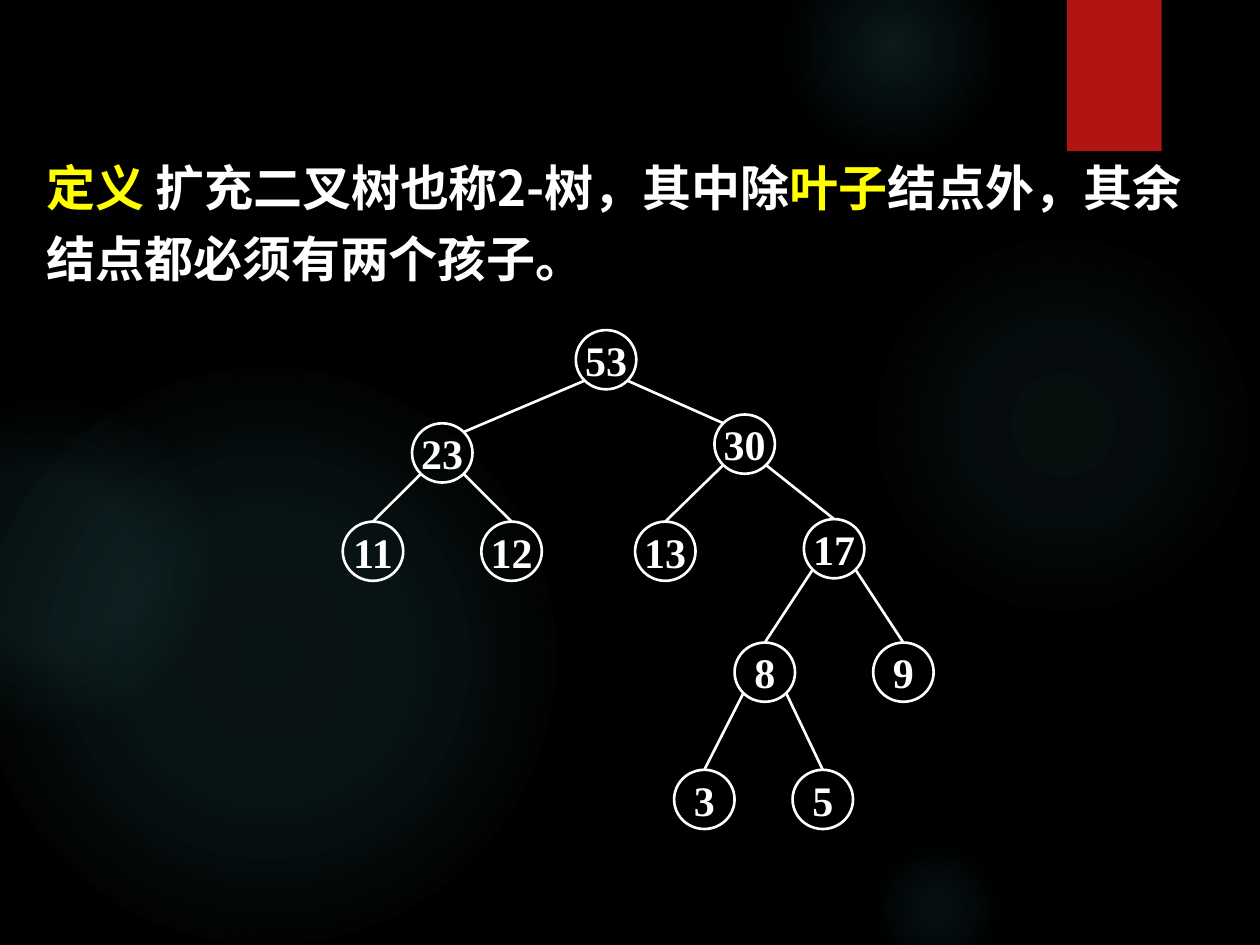
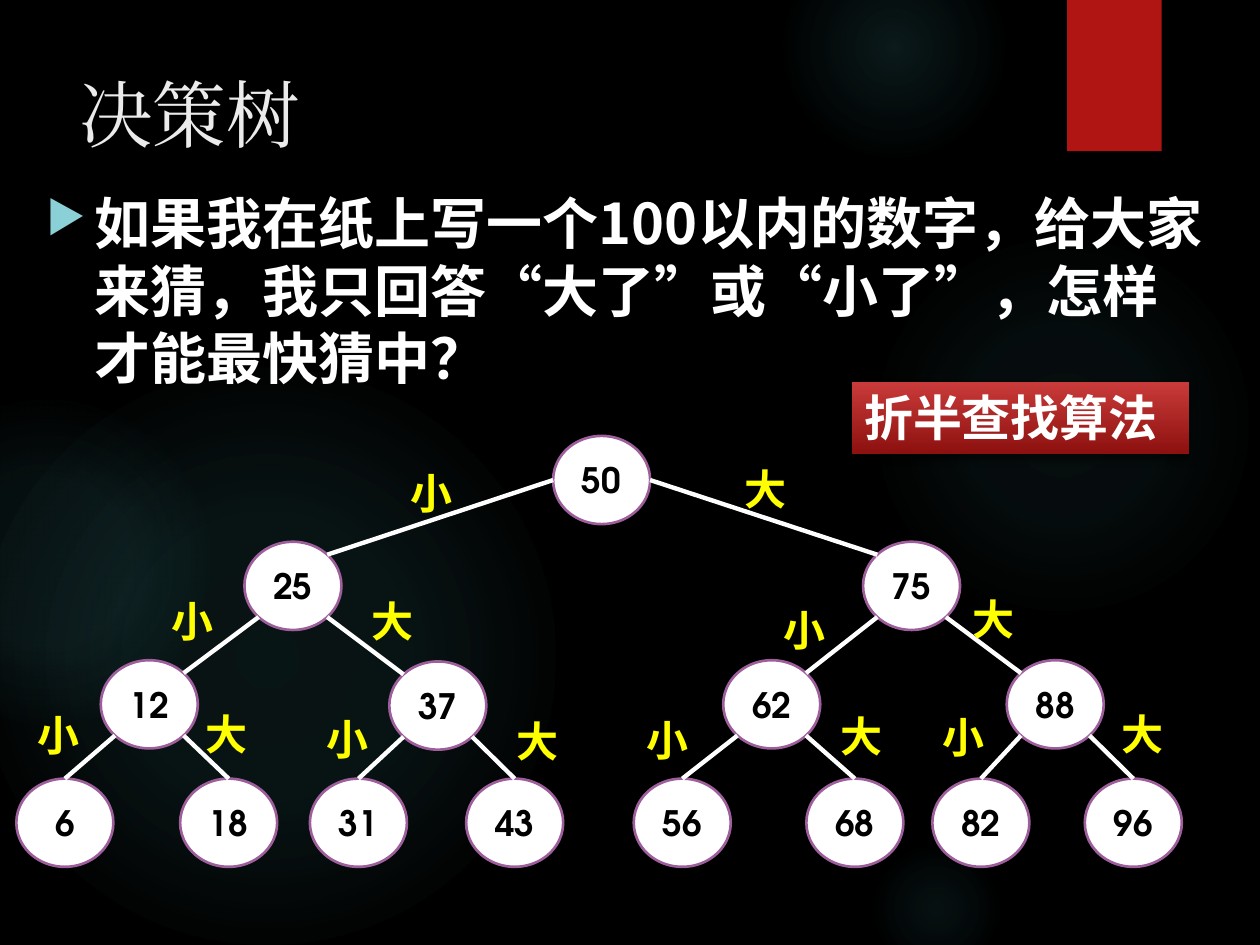
from math import cos, pi, sin

from lxml import etree
from pptx import Presentation
from pptx.dml.color import RGBColor
from pptx.enum.shapes import MSO_CONNECTOR as LINE, MSO_SHAPE as SHAPE
from pptx.enum.text import MSO_ANCHOR as ANCHOR, PP_ALIGN as ALIGN
from pptx.oxml import parse_xml
from pptx.oxml.ns import nsdecls, qn
from pptx.util import Inches, Pt

BLACK = RGBColor(0x00, 0x00, 0x00)
WHITE = RGBColor(0xFF, 0xFF, 0xFF)
YELLOW = RGBColor(0xFF, 0xFF, 0x00)
TITLE_GREY = RGBColor(0xEB, 0xEB, 0xEB)
RIBBON_RED = RGBColor(0xB0, 0x15, 0x13)
BADGE_LIGHT = RGBColor(0xC9, 0x3B, 0x3A)
BADGE_DARK = RGBColor(0x8D, 0x11, 0x0F)
PURPLE = RGBColor(0x9E, 0x5E, 0x9B)
GLOW_TEAL = RGBColor(0x50, 0xB9, 0xC1)
BULLET_TEAL = RGBColor(0x8A, 0xD0, 0xD6)

CJK_FONT = "Noto Sans CJK SC"
SERIF_FONT = "Times New Roman"
ROUND_FONT = "TeX Gyre Adventor"


def write(box, spans, font, size, bold=True):
    """Fill a shape with one paragraph of (text, colour) spans."""
    box.text_frame.word_wrap = True
    para = box.text_frame.paragraphs[0]
    para.font.name, para.font.size, para.font.bold = font, Pt(size), bold
    etree.SubElement(para.font._element, qn("a:ea"), typeface=font)
    for text, colour in spans:
        span = para.add_run()
        span.text = text
        span.font.color.rgb = colour
    return para


def draw_tree(page, nodes, size, style, corner_joined, root_angle=pi / 4):
    """Draw nodes given as number: (left, top, parent), and their branches."""
    fill, outline, ink, font, font_size, branch_width = style
    width, height = size
    for number, (left, top, parent) in nodes.items():
        node = page.shapes.add_shape(SHAPE.OVAL, Inches(left), Inches(top),
                                     Inches(width), Inches(height))
        node.shadow.inherit = False
        if fill is None:
            node.fill.background()
        else:
            node.fill.solid()
            node.fill.fore_color.rgb = fill
        node.line.color.rgb = outline
        node.line.width = Pt(1.5)
        write(node, [(str(number), ink)], font, font_size).alignment = ALIGN.CENTER
        node.text_frame.word_wrap = False
        node.text_frame.vertical_anchor = ANCHOR.MIDDLE

        if parent is None:
            continue
        # The branch leaves the parent's rim and meets the child's rim
        parent_left, parent_top, grandparent = nodes[parent]
        side = 1 if left > parent_left else -1
        leave = root_angle if grandparent is None else pi / 4
        meet = pi / 4 if number in corner_joined else pi / 2
        branch = page.shapes.add_connector(
            LINE.STRAIGHT,
            Inches(parent_left + width / 2 * (1 + side * cos(leave))),
            Inches(parent_top + height / 2 * (1 + sin(leave))),
            Inches(left + width / 2 * (1 - side * cos(meet))),
            Inches(top + height / 2 * (1 - sin(meet))))
        branch.line.color.rgb = WHITE
        branch.line.width = Pt(branch_width)
        etree.SubElement(branch._element.spPr, qn("a:effectLst"))


deck = Presentation()
deck.slide_width, deck.slide_height = Inches(10), Inches(7.5)
pages = [deck.slides.add_slide(deck.slide_layouts[6]) for _ in range(2)]
definition_page, decision_page = pages

# Shared backdrop: black, soft teal glows, red ribbon
# Each glow: left, top, diameter, then (position %, opacity %) stops
glows = [
    (6.89, 1.83, 3.08, [(0, 7), (36, 6), (69, 0)]),
    (6.22, -0.5, 1.75, [(0, 14), (36, 7), (73, 0)]),
    (6.89, 6.67, 1.08, [(0, 9), (36, 5), (66, 0)]),
    (-0.17, 2.92, 4.58, [(0, 11), (36, 10), (75, 0)]),
    (-0.92, 3.17, 2.58, [(0, 8), (36, 8), (72, 0)]),
]
shadows = []
for page in pages:
    page.background.fill.solid()
    page.background.fill.fore_color.rgb = BLACK
    for left, top, diameter, stops in glows:
        glow = page.shapes.add_shape(SHAPE.OVAL, Inches(left), Inches(top),
                                     Inches(diameter), Inches(diameter))
        glow.shadow.inherit = False
        glow.line.fill.background()
        stop_xml = "".join(
            f'<a:gs pos="{position * 1000}"><a:srgbClr val="{GLOW_TEAL}">'
            f'<a:alpha val="{opacity * 1000}"/></a:srgbClr></a:gs>'
            for position, opacity in stops)
        glow._element.spPr.find(qn("a:prstGeom")).addnext(parse_xml(
            f'<a:gradFill {nsdecls("a")}><a:gsLst>{stop_xml}</a:gsLst><a:path path="circle">'
            '<a:fillToRect l="50000" t="50000" r="50000" b="50000"/></a:path></a:gradFill>'))
    ribbon = page.shapes.add_shape(SHAPE.RECTANGLE, Inches(8.47), 0, Inches(0.75), Inches(1.2))
    ribbon.fill.solid()
    ribbon.fill.fore_color.rgb = RIBBON_RED
    ribbon.line.fill.background()
    shadows.append((ribbon, 45, 3, 2))

# Slide 1: definition
definition = definition_page.shapes.add_textbox(Inches(0.27), Inches(1.11),
                                                Inches(9.28), Inches(1.26))
para = write(definition, [
    ("定义 ", YELLOW), ("扩充二叉树也称2-树，其中除", WHITE),
    ("叶子", YELLOW), ("结点外，其余结点都必须有两个孩子。", WHITE)], CJK_FONT, 28)
para.line_spacing = 1.2
para.space_before = Pt(10)

# Slide 1: extended binary tree
weight_nodes = {
    53: (4.57, 2.62, None),
    23: (3.27, 3.36, 53), 30: (5.67, 3.29, 53),
    11: (2.72, 4.14, 23), 12: (3.82, 4.14, 23),
    13: (5.04, 4.14, 30), 17: (6.38, 4.12, 30),
    8: (5.83, 5.1, 17), 9: (6.93, 5.1, 17),
    3: (5.35, 6.11, 8), 5: (6.29, 6.11, 8),
}
draw_tree(definition_page, weight_nodes, (0.48, 0.47),
          (None, WHITE, WHITE, SERIF_FONT, 24, 1.5), corner_joined={23, 30})

# Slide 2: title and question
title = decision_page.shapes.add_textbox(Inches(0.53), Inches(0.5), Inches(7.72), Inches(1.53))
write(title, [("决策树", TITLE_GREY)], SERIF_FONT, 42, bold=False)

question = decision_page.shapes.add_textbox(Inches(0.27), Inches(1.45),
                                            Inches(9.43), Inches(3.84))
para = write(question, [(
    "如果我在纸上写一个100以内的数字，给大家来猜，我只回答“大了”或“小了”，怎样才能最快猜中？",
    WHITE)], CJK_FONT, 32)
para.space_before = Pt(10)
layout = para._p.get_or_add_pPr()
layout.set("marL", str(Inches(0.38)))
layout.set("indent", str(-Inches(0.38)))
bullet_parts = [
    f'<a:buClr {nsdecls("a")}><a:srgbClr val="{BULLET_TEAL}"/></a:buClr>',
    f'<a:buSzPct {nsdecls("a")} val="80000"/>',
    f'<a:buChar {nsdecls("a")} char="▶"/>',
]
for part in bullet_parts:
    layout.find(qn("a:defRPr")).addprevious(parse_xml(part))

# Slide 2: guessing tree
guess_nodes = {
    50: (4.39, 3.46, None),
    25: (1.94, 4.3, 50), 75: (6.85, 4.3, 50),
    12: (0.8, 5.24, 25), 37: (3.09, 5.25, 25),
    62: (5.74, 5.24, 75), 88: (7.99, 5.24, 75),
    6: (0.13, 6.18, 12), 18: (1.43, 6.18, 12),
    31: (2.46, 6.18, 37), 43: (3.7, 6.18, 37),
    56: (5.03, 6.18, 62), 68: (6.4, 6.18, 62),
    82: (7.4, 6.18, 88), 96: (8.61, 6.18, 88),
}
draw_tree(decision_page, guess_nodes, (0.77, 0.7),
          (WHITE, PURPLE, BLACK, ROUND_FONT, 20, 2.5),
          corner_joined={25, 75, 12, 37, 62, 88}, root_angle=0)

# Slide 2: answer beside the branch to each guess
answer_places = {
    25: (3.16, 3.66), 75: (5.81, 3.63),
    12: (1.26, 4.68), 37: (2.85, 4.68), 62: (6.12, 4.75), 88: (7.62, 4.66),
    6: (0.2, 5.58), 18: (1.53, 5.57), 31: (2.49, 5.61), 43: (4, 5.63),
    56: (5.03, 5.62), 68: (6.57, 5.59), 82: (7.38, 5.6), 96: (8.8, 5.57),
}
for guess, (left, top) in answer_places.items():
    answer = decision_page.shapes.add_textbox(Inches(left), Inches(top),
                                              Inches(0.9), Inches(0.51))
    word = "小" if guess < guess_nodes[guess][2] else "大"
    write(answer, [(word, YELLOW)], ROUND_FONT, 24)

# Slide 2: algorithm badge
badge = decision_page.shapes.add_shape(SHAPE.RECTANGLE, Inches(6.76), Inches(3.03),
                                       Inches(2.68), Inches(0.57))
badge.fill.gradient()
badge.fill.gradient_angle = 270
for stop, colour in zip(badge.fill.gradient_stops, (BADGE_LIGHT, BADGE_DARK)):
    stop.color.rgb = colour
badge.line.fill.background()
write(badge, [("折半查找算法", WHITE)], ROUND_FONT, 28).alignment = ALIGN.LEFT
badge.text_frame.vertical_anchor = ANCHOR.TOP
shadows.append((badge, 60, 5, 3))

# Downward shadows: opacity %, blur and distance in points
for shape, opacity, blur, distance in shadows:
    shape.shadow.inherit = False
    shape._element.spPr.find(qn("a:effectLst")).append(parse_xml(
        f'<a:outerShdw {nsdecls("a")} blurRad="{Pt(blur)}" dist="{Pt(distance)}" '
        f'dir="5400000" rotWithShape="0"><a:srgbClr val="{BLACK}">'
        f'<a:alpha val="{opacity * 1000}"/></a:srgbClr></a:outerShdw>'))

deck.save("out.pptx")
